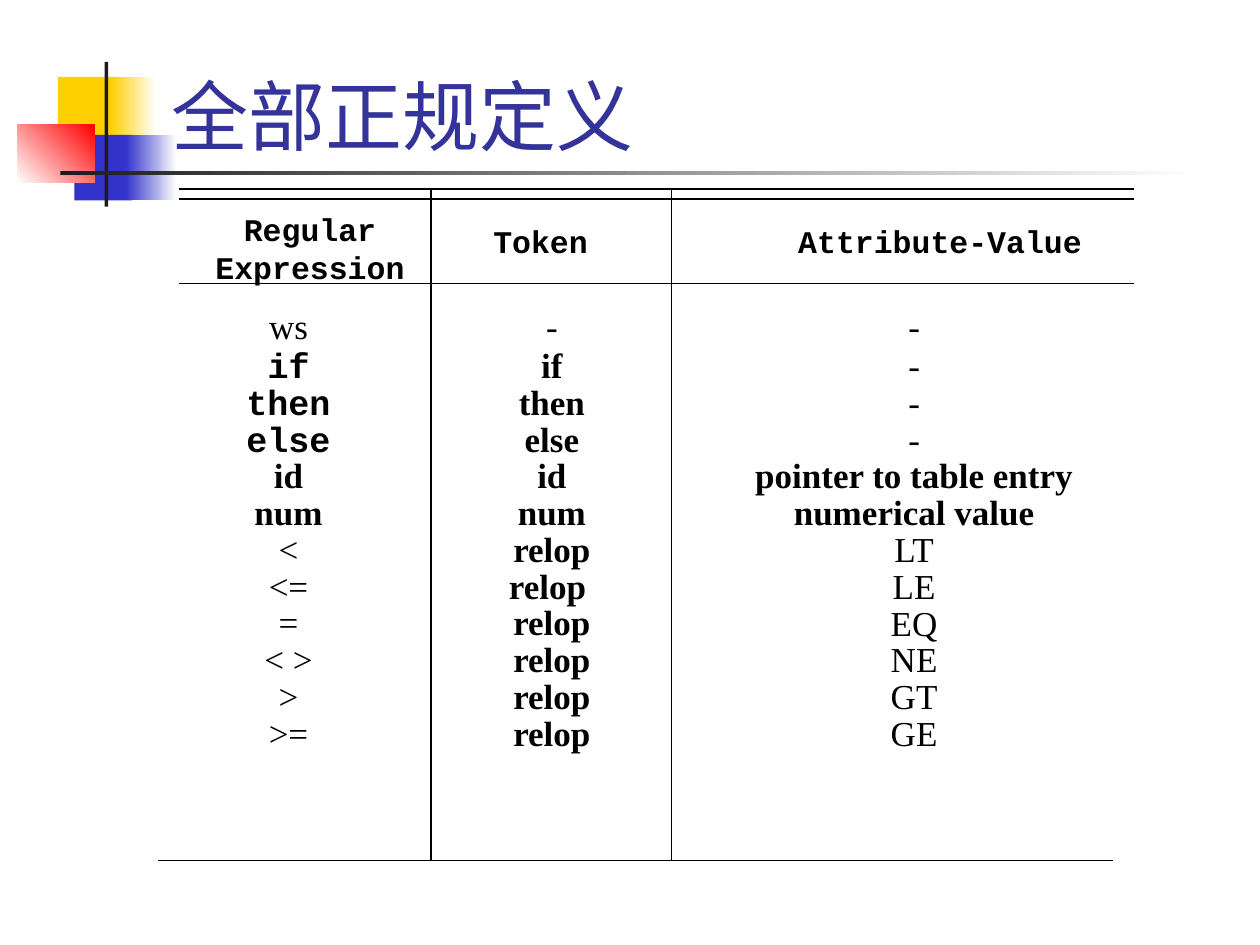
from dataclasses import dataclass

from lxml.etree import SubElement
from pptx import Presentation
from pptx.dml.color import RGBColor
from pptx.enum.shapes import MSO_CONNECTOR as Connector, MSO_SHAPE as Shape
from pptx.enum.text import MSO_ANCHOR as Anchor, MSO_AUTO_SIZE as AutoSize, PP_ALIGN as Align
from pptx.oxml.ns import qn
from pptx.util import Inches, Pt


@dataclass(frozen=True)
class Theme:
    title: str = "333399"
    ink: str = "000000"
    dark: str = "1C1C1C"
    yellow: str = "FFCF01"
    blue: str = "3333CC"
    red: str = "FF0000"
    white: str = "FFFFFF"
    serif: str = "Times New Roman"
    mono: str = "Courier New"
    title_size: int = 44
    header_size: int = 18
    body_size: int = 20


THEME = Theme()
PLAIN = (THEME.serif, False)
BOLD = (THEME.serif, True)
CODE = (THEME.mono, True)

# left, top, width, height, colour(s), gradient angle
ORNAMENTS = [
    (0.46, 0.61, 0.48, 0.52, [THEME.yellow], 0),
    (0.88, 0.61, 0.36, 0.52, [THEME.yellow, THEME.white], 0),
    (0.59, 1.07, 0.46, 0.52, [THEME.blue], 0),
    (1, 1.07, 0.4, 0.52, [THEME.blue, THEME.white], 0),
    (0.14, 0.99, 0.61, 0.46, [THEME.white, THEME.red], 45),
    (0.83, 0.49, 0.03, 1.15, [THEME.dark], 0),
    (0.48, 1.36, 9, 0.03, [THEME.dark, THEME.white], 0),
]

RULE_WIDTH = 7.58
HORIZONTAL_RULES = [(1.42, 1.5), (1.42, 1.58), (1.42, 2.25), (1.25, 6.83)]
VERTICAL_RULES = [3.42, 5.33]
TABLE_TOP, TABLE_BOTTOM = 1.5, 6.83

HEADERS = [
    ("Regular Expression", (1.42, 1.58, 2.08, 0.7)),
    ("Token", (3.25, 1.67, 2.08, 0.4)),
    ("Attribute-Value", (5.92, 1.67, 3.08, 0.4)),
]

# Each column: its box, then groups of entries that share a style
COLUMNS = [
    ((1.83, 2.33, 0.92, 3.74), [
        (PLAIN, ["ws"]),
        (CODE, ["if", "then", "else"]),
        (BOLD, ["id", "num"]),
        (PLAIN, ["<", "<=", "=", "< >", ">", ">="]),
    ]),
    ((3.92, 2.33, 0.92, 3.74), [
        (PLAIN, ["-"]),
        (BOLD, ["if", "then", "else", "id", "num",
                "relop", "relop ", "relop", "relop", "relop", "relop"]),
    ]),
    ((5.42, 2.33, 3.67, 3.78), [
        (PLAIN, ["-"] * 4),
        (BOLD, ["pointer to table entry", "numerical value"]),
        (PLAIN, ["LT", "LE", "EQ", "NE", "GT", "GE"]),
    ]),
]


def add_block(slide, left, top, width, height, colours, angle):
    block = slide.shapes.add_shape(
        Shape.RECTANGLE, *map(Inches, (left, top, width, height)))
    block.shadow.inherit = False
    block.line.fill.background()
    if len(colours) == 1:
        block.fill.solid()
        block.fill.fore_color.rgb = RGBColor.from_string(colours[0])
        return
    block.fill.gradient()
    block.fill.gradient_angle = angle
    for stop, colour in zip(block.fill.gradient_stops, colours):
        stop.color.rgb = RGBColor.from_string(colour)


def add_rule(slide, x1, y1, x2, y2):
    rule = slide.shapes.add_connector(
        Connector.STRAIGHT, *map(Inches, (x1, y1, x2, y2)))
    rule.line.color.rgb = RGBColor.from_string(THEME.ink)
    rule.line.width = Pt(1)
    SubElement(rule._element.spPr, qn("a:effectLst"))


def add_frame(slide, box):
    frame = slide.shapes.add_textbox(*map(Inches, box)).text_frame
    frame.word_wrap = True
    return frame


def style_paragraph(paragraph, text, style, size, colour):
    paragraph.text = text
    font = paragraph.font
    font.name, font.bold = style
    font.size = Pt(size)
    font.color.rgb = RGBColor.from_string(colour)


def add_title(slide, text):
    frame = add_frame(slide, (1.26, 0.08, 8.52, 1.25))
    frame.vertical_anchor = Anchor.BOTTOM
    style_paragraph(frame.paragraphs[0], text, PLAIN, THEME.title_size, THEME.title)


def add_entries(slide, box, groups, size):
    """Stack centred entries tightly in one text box."""
    frame = add_frame(slide, box)
    frame.auto_size = AutoSize.SHAPE_TO_FIT_TEXT
    frame.margin_top, frame.margin_bottom = Inches(0.09), Inches(0.02)
    entries = [(style, text) for style, texts in groups for text in texts]
    for row, (style, text) in enumerate(entries):
        paragraph = frame.add_paragraph() if row else frame.paragraphs[0]
        paragraph.alignment = Align.CENTER
        if row:
            paragraph.line_spacing = 0.6
            paragraph.space_before = Pt(6.6)
        style_paragraph(paragraph, text, style, size, THEME.ink)


def main():
    deck = Presentation()
    deck.slide_width, deck.slide_height = Inches(10), Inches(7.5)
    slide = deck.slides.add_slide(deck.slide_layouts[6])

    for ornament in ORNAMENTS:
        add_block(slide, *ornament)
    add_title(slide, "全部正规定义")

    for left, y in HORIZONTAL_RULES:
        add_rule(slide, left, y, left + RULE_WIDTH, y)
    for x in VERTICAL_RULES:
        add_rule(slide, x, TABLE_TOP, x, TABLE_BOTTOM)

    for header, box in HEADERS:
        add_entries(slide, box, [(CODE, [header])], THEME.header_size)
    for box, groups in COLUMNS:
        add_entries(slide, box, groups, THEME.body_size)

    deck.save("out.pptx")


if __name__ == "__main__":
    main()
